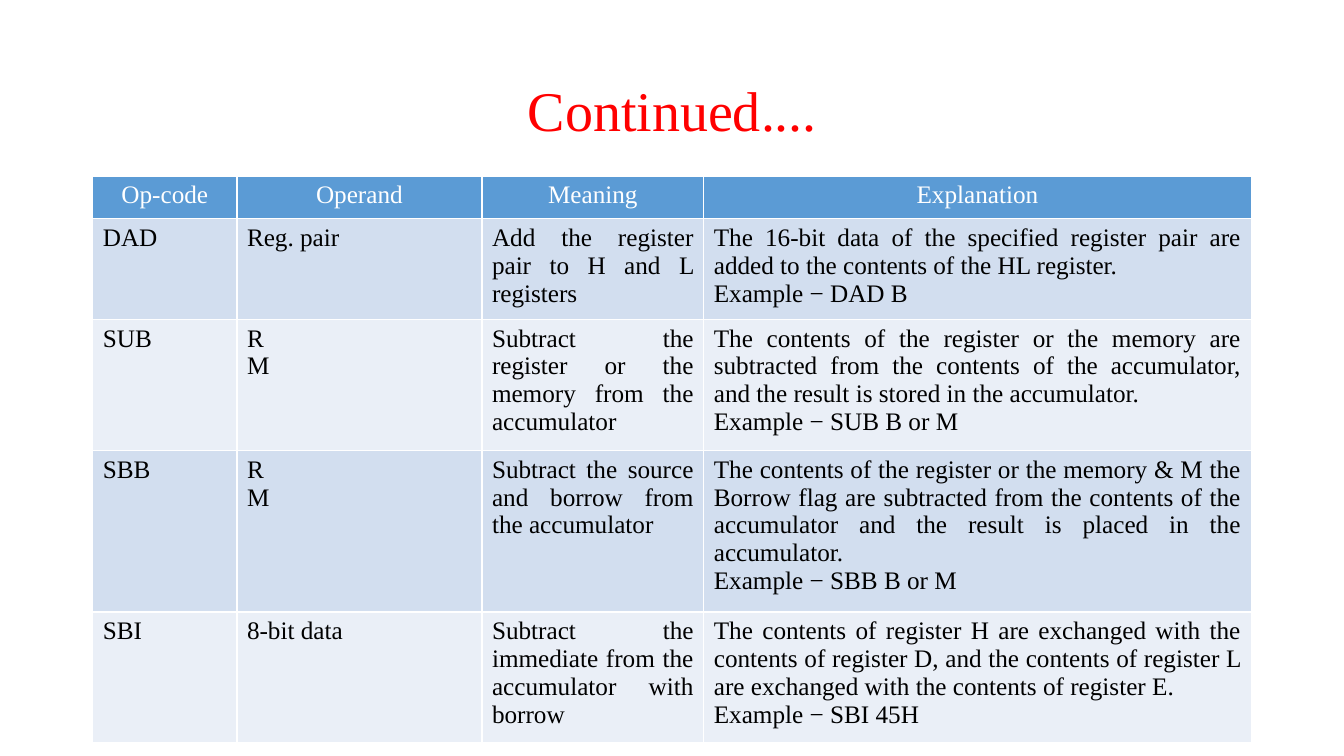
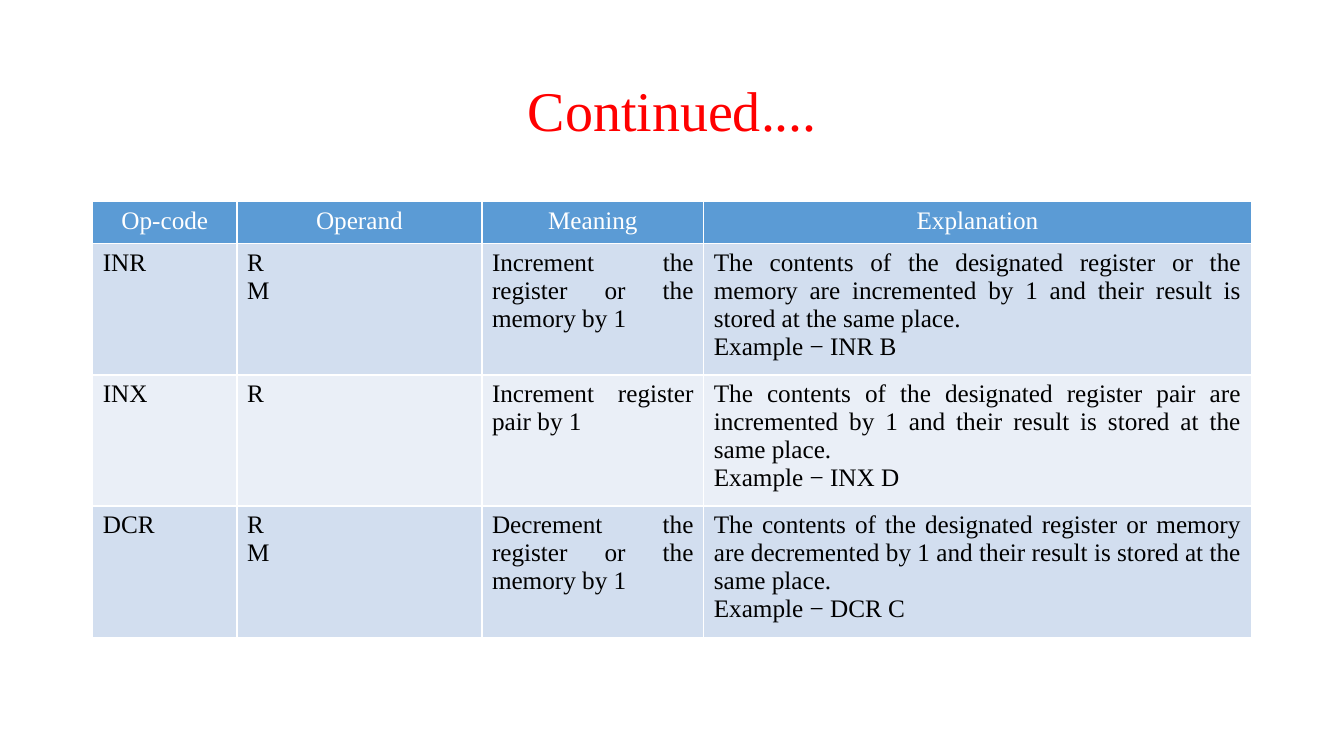
from pptx import Presentation
from pptx.dml.color import RGBColor
from pptx.enum.text import MSO_ANCHOR, PP_ALIGN
from pptx.oxml import parse_xml
from pptx.oxml.ns import nsdecls
from pptx.util import Inches, Pt

FONT = "Times New Roman"
RED, WHITE, BLACK = "FF0000", "FFFFFF", "000000"
HEADER_FILL, BAND_FILLS = "5B9BD5", ("D2DEEF", "EAEFF7")
LEFT, WIDTH, ROW_HEIGHT = 0.92, 11.5, 0.42
COLUMN_WIDTHS = (1.43, 2.43, 2.2, 5.43)
TITLE = "Continued...."
HEADER = ("Op-code", "Operand", "Meaning", "Explanation")

SLIDES = [
    {"top": 1.75, "rows": [
        ("DAD", "Reg. pair", "Add the register pair to H and L registers",
         "The 16-bit data of the specified register pair are added to the "
         "contents of the HL register.\nExample − DAD B"),
        ("SUB", "R\nM",
         "Subtract the register or the memory from the accumulator",
         "The contents of the register or the memory are subtracted from the "
         "contents of the accumulator, and the result is stored in the "
         "accumulator.\nExample − SUB B or M"),
        ("SBB", "R\nM", "Subtract the source and borrow from the accumulator",
         "The contents of the register or the memory & M the Borrow flag are "
         "subtracted from the contents of the accumulator and the result is "
         "placed in the accumulator.\nExample − SBB B or M"),
        ("SBI", "8-bit data",
         "Subtract the immediate from the accumulator with borrow",
         "The contents of register H are exchanged with the contents of "
         "register D, and the contents of register L are exchanged with the "
         "contents of register E.\nExample − SBI 45H"),
    ]},
    {"top": 2, "rows": [
        ("INR", "R\nM", "Increment the register or the memory by 1",
         "The contents of the designated register or the memory are "
         "incremented by 1 and their result is stored at the same place.\n"
         "Example − INR B"),
        ("INX", "R", "Increment register pair by 1",
         "The contents of the designated register pair are incremented by 1 "
         "and their result is stored at the same place.\nExample − INX D"),
        ("DCR", "R\nM", "Decrement the register or the memory by 1",
         "The contents of the designated register or memory are decremented "
         "by 1 and their result is stored at the same place.\n"
         "Example − DCR C"),
    ]},
]


def rgb(color):
    return RGBColor.from_string(color)


def write(tf, text, size, color, align):
    tf.text = text
    for p in tf.paragraphs:
        p.alignment = align
        p.font.name = FONT
        p.font.size = Pt(size)
        p.font.bold = False
        p.font.color.rgb = rgb(color)


def add_title(s):
    tf = s.shapes.add_textbox(Inches(LEFT), Inches(0.4),
                              Inches(WIDTH), Inches(1.45)).text_frame
    tf.word_wrap = True
    tf.vertical_anchor = MSO_ANCHOR.MIDDLE
    write(tf, TITLE, 40, RED, PP_ALIGN.CENTER)
    tf.paragraphs[0].line_spacing = 0.9


def add_borders(cell):
    tcPr = cell._tc.get_or_add_tcPr()
    for i, side in enumerate(("lnL", "lnR", "lnT", "lnB")):
        tcPr.insert(i, parse_xml(
            f'<a:{side} {nsdecls("a")} w="{Pt(1)}"><a:solidFill>'
            f'<a:srgbClr val="{WHITE}"/></a:solidFill></a:{side}>'))


def add_opcode_table(s, top, rows):
    rows = [HEADER, *rows]
    table = s.shapes.add_table(
        len(rows), len(HEADER), Inches(LEFT), Inches(top),
        Inches(WIDTH), Inches(ROW_HEIGHT * len(rows))).table
    for column, width in zip(table.columns, COLUMN_WIDTHS):
        column.width = Inches(width)
    for r, texts in enumerate(rows):
        if r == 0:
            fill, color, align = HEADER_FILL, WHITE, PP_ALIGN.CENTER
        else:
            fill, color, align = BAND_FILLS[(r - 1) % 2], BLACK, PP_ALIGN.JUSTIFY
        for c, text in enumerate(texts):
            cell = table.cell(r, c)
            cell.fill.solid()
            cell.fill.fore_color.rgb = rgb(fill)
            add_borders(cell)
            write(cell.text_frame, text, 18, color, align)


def main():
    prs = Presentation()
    prs.slide_width, prs.slide_height = Inches(13.33), Inches(7.5)
    for content in SLIDES:
        s = prs.slides.add_slide(prs.slide_layouts[6])
        add_title(s)
        add_opcode_table(s, content["top"], content["rows"])
    prs.save("out.pptx")


if __name__ == "__main__":
    main()
